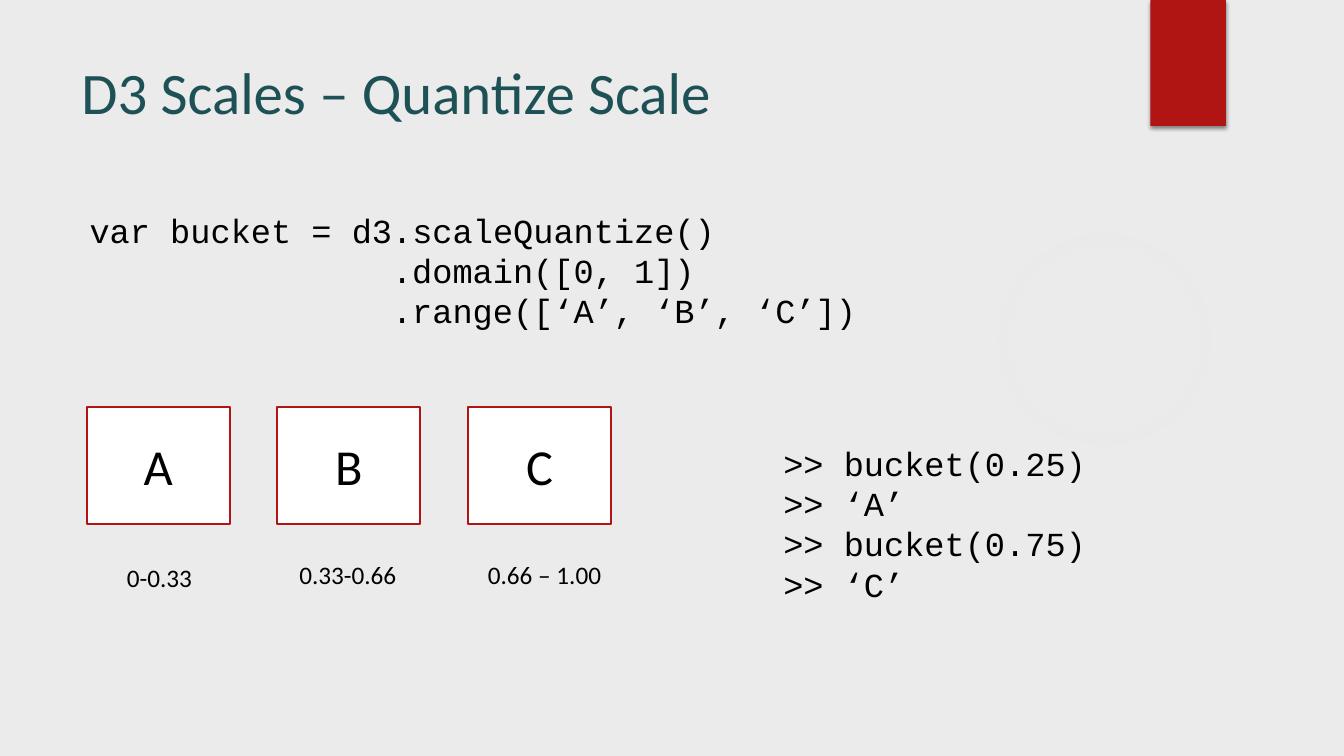
from lxml.etree import SubElement
from pptx import Presentation
from pptx.dml.color import RGBColor
from pptx.enum.shapes import MSO_SHAPE
from pptx.enum.text import MSO_ANCHOR, PP_ALIGN
from pptx.oxml import parse_xml
from pptx.oxml.ns import nsdecls, qn
from pptx.util import Inches, Pt

WIDTH, HEIGHT = 13.33, 7.5
RED, TEAL, BLACK, WHITE, GRAY, GLOW = "B01513", "1E5155", "000000", "FFFFFF", "EBEBEB", "F3F3F3"
BODY_FONT, CODE_FONT = "Calibri", "Courier New"
CODE_SIZE = 24
CODE_CHARACTER = 0.6 * CODE_SIZE / 72  # advance width of one monospaced character, inches


def color(hex_string):
    return RGBColor.from_string(hex_string)


def inches(box):
    return [Inches(length) for length in box]


def write(shape, lines, font=BODY_FONT, size=18, ink=BLACK, align=PP_ALIGN.LEFT,
          anchor=MSO_ANCHOR.TOP, wrap=True, indents=()):
    """Fill a shape with one paragraph per line; indents count characters."""
    frame = shape.text_frame
    frame.word_wrap = wrap
    frame.vertical_anchor = anchor
    for index, line in enumerate(lines):
        paragraph = frame.paragraphs[0] if index == 0 else frame.add_paragraph()
        paragraph.alignment = align
        run = paragraph.add_run()
        run.text = line
        run.font.name, run.font.size = font, Pt(size)
        run.font.color.rgb = color(ink)
        if indents and indents[index]:
            properties = paragraph._p.get_or_add_pPr()
            properties.set("marL", str(Inches(indents[index] * CODE_CHARACTER)))
            properties.set("indent", "0")


def add_text(slide, box, lines, **text_format):
    write(slide.shapes.add_textbox(*inches(box)), lines, **text_format)


def add_panel(slide, box, kind=MSO_SHAPE.RECTANGLE, fill=WHITE, line=None):
    shape = slide.shapes.add_shape(kind, *inches(box))
    shape.shadow.inherit = False
    shape.fill.solid()
    shape.fill.fore_color.rgb = color(fill)
    if line:
        shape.line.color.rgb = color(line)
        shape.line.width = Pt(1.5)
    else:
        shape.line.fill.background()
    return shape


def add_glow(slide, box):
    """Faint circle that fades out towards its rim."""
    circle = add_panel(slide, box, MSO_SHAPE.OVAL, GLOW)
    stops = "".join(
        f'<a:gs pos="{position}000"><a:srgbClr val="{GLOW}">'
        f'<a:alpha val="{opacity}000"/></a:srgbClr></a:gs>'
        for position, opacity in ((0, 7), (36, 6), (69, 0)))
    gradient = parse_xml(
        f'<a:gradFill {nsdecls("a")} rotWithShape="1"><a:gsLst>{stops}</a:gsLst>'
        '<a:path path="circle"><a:fillToRect l="50000" t="50000" r="50000" b="50000"/>'
        '</a:path></a:gradFill>')
    properties = circle._element.spPr
    properties.replace(properties.find(qn("a:solidFill")), gradient)


def add_ribbon(slide, box):
    ribbon = add_panel(slide, box, fill=RED)
    effects = ribbon._element.spPr.find(qn("a:effectLst"))
    shadow = SubElement(effects, qn("a:outerShdw"), blurRad=str(Pt(3)), dist=str(Pt(2)),
                        dir="5400000", algn="ctr", rotWithShape="0")
    shade = SubElement(shadow, qn("a:srgbClr"), val=BLACK)
    SubElement(shade, qn("a:alpha"), val="45000")


def add_buckets(slide, box):
    """Row of lettered cards, each with its value range below."""
    left, top, width, height = box
    card_width, card_height = 1.42, 1.16
    step = (width - card_width) / 2
    # letter, range, then offset and size of the label relative to its card
    buckets = [("A", "0-0.33", (0.3, 1.49, 0.85)),
               ("B", "0.33-0.66", (0.12, 1.46, 1.17)),
               ("C", "0.66 – 1.00", (0.1, 1.46, 1.34))]
    for index, (letter, values, (shift, drop, label_width)) in enumerate(buckets):
        card_left = left + index * step
        card = add_panel(slide, (card_left, top, card_width, card_height), line=RED)
        write(card, [letter], size=36, align=PP_ALIGN.CENTER, anchor=MSO_ANCHOR.MIDDLE)
        add_text(slide, (card_left + shift, top + drop, label_width, height - drop),
                 [values], wrap=False)


def add_scale_slide(presentation):
    slide = presentation.slides.add_slide(presentation.slide_layouts[6])
    slide.background.fill.solid()
    slide.background.fill.fore_color.rgb = color(GRAY)
    add_glow(slide, (9.41, 1.83, 3.08, 3.08))
    add_ribbon(slide, (11.41, 0, 0.75, HEIGHT / 6))
    add_text(slide, (0.71, 0.5, 10.29, 1.53), ["D3 Scales – Quantize Scale"],
             size=42, ink=TEAL)
    add_text(slide, (0.79, 2.03, 9.94, 1.31),
             ["var bucket = d3.scaleQuantize()", ".domain([0, 1])", ".range([‘A’, ‘B’, ‘C’])"],
             font=CODE_FONT, size=CODE_SIZE, indents=(0, 15, 15))
    add_buckets(slide, (0.86, 4.04, 5.2, 1.88))
    add_text(slide, (7.67, 4.34, 4.91, 1.72),
             [">> bucket(0.25)", ">> ‘A’", ">> bucket(0.75)", ">> ‘C’"],
             font=CODE_FONT, size=CODE_SIZE)


def main():
    presentation = Presentation()
    presentation.slide_width, presentation.slide_height = inches((WIDTH, HEIGHT))
    add_scale_slide(presentation)
    presentation.save("out.pptx")


if __name__ == "__main__":
    main()
